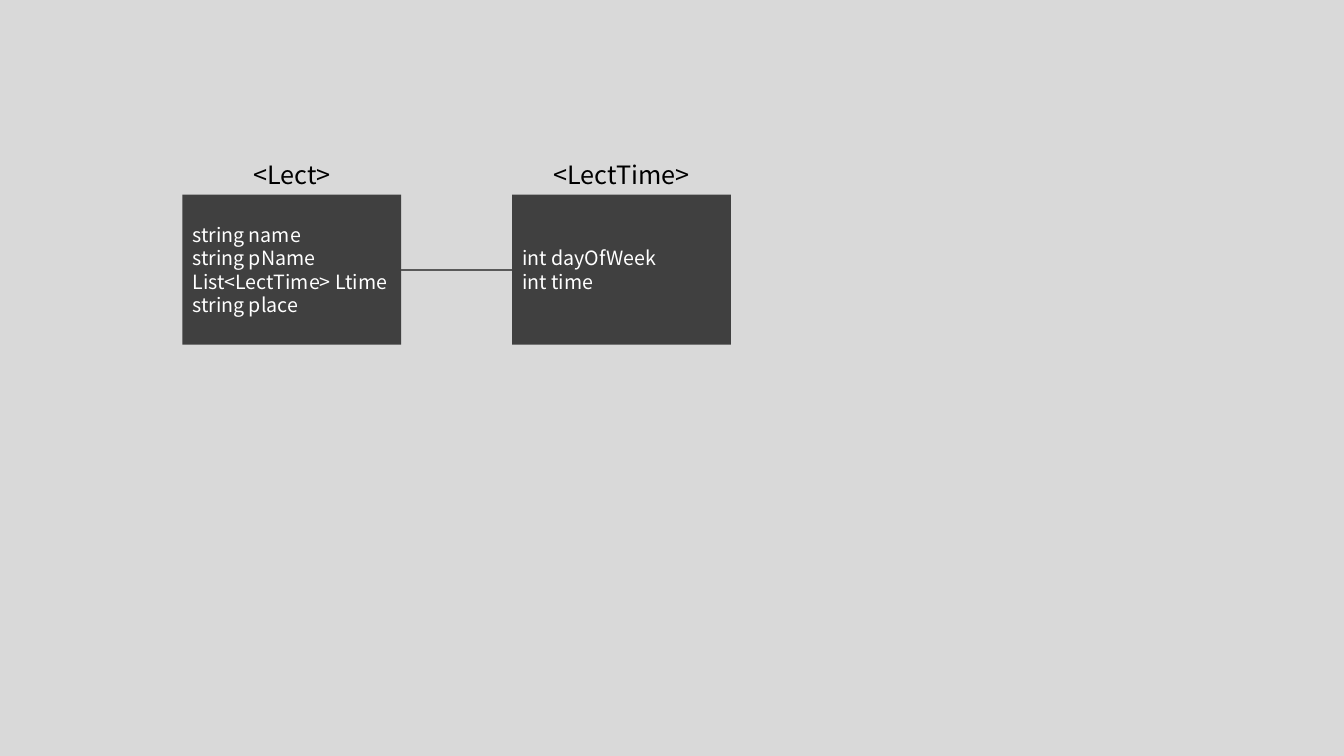
from pptx import Presentation, util as u
from pptx.dml.color import RGBColor
from pptx.enum import shapes, text
from pptx.oxml.ns import qn
from lxml import etree

CLASSES = [
    ("<Lect>", ["string name", "string pName", "List<LectTime> Ltime", "string place"]),
    ("<LectTime>", ["int dayOfWeek", "int time"]),
]

FONT = "Noto Sans CJK KR"
BACKGROUND = RGBColor(0xD9, 0xD9, 0xD9)
BOX_FILL = RGBColor(0x40, 0x40, 0x40)
LINE_COLOR = RGBColor(0x59, 0x59, 0x59)
BLACK = RGBColor(0, 0, 0)
WHITE = RGBColor(0xFF, 0xFF, 0xFF)

LEFT, TOP = u.Inches(1.81), u.Inches(1.53)
BOX_WIDTH, BOX_HEIGHT = u.Inches(2.17), u.Inches(1.49)
LABEL_HEIGHT, GAP = u.Inches(0.4), u.Inches(1.1)
BOX_TOP = TOP + LABEL_HEIGHT


def write_text(shape, lines, size, color, alignment):
    """Fill a shape with one paragraph per line and format its runs."""
    frame = shape.text_frame
    frame.word_wrap = True
    frame.text = "\n".join(lines)
    for paragraph in frame.paragraphs:
        paragraph.alignment = alignment
        for run in paragraph.runs:
            run.font.name = FONT
            run.font.size = u.Pt(size)
            run.font.color.rgb = color


def add_class(slide, left, name, fields):
    """Add a group with a class name above its box of fields; return the box."""
    group = slide.shapes.add_group_shape()
    label = group.shapes.add_textbox(left, TOP, BOX_WIDTH, LABEL_HEIGHT)
    write_text(label, [name], 18, BLACK, text.PP_ALIGN.CENTER)
    label.text_frame.auto_size = text.MSO_AUTO_SIZE.SHAPE_TO_FIT_TEXT

    box = group.shapes.add_shape(
        shapes.MSO_SHAPE.RECTANGLE, left, BOX_TOP, BOX_WIDTH, BOX_HEIGHT)
    box.shadow.inherit = False
    box.fill.solid()
    box.fill.fore_color.rgb = BOX_FILL
    box.line.fill.background()
    write_text(box, fields, 14, WHITE, text.PP_ALIGN.LEFT)
    box.text_frame.vertical_anchor = text.MSO_ANCHOR.MIDDLE
    return box


def connect(slide, first, second):
    """Join the right side of one box to the left side of the next."""
    middle = BOX_TOP + BOX_HEIGHT // 2
    line = slide.shapes.add_connector(
        shapes.MSO_CONNECTOR.STRAIGHT,
        first.left + first.width, middle, second.left, middle)
    line.line.color.rgb = LINE_COLOR
    line.line.width = u.Pt(1.5)
    properties = line._element.find(qn("p:spPr"))
    etree.SubElement(properties, qn("a:effectLst"))


presentation = Presentation()
presentation.slide_width = u.Inches(13.33)
presentation.slide_height = u.Inches(7.5)
slide = presentation.slides.add_slide(presentation.slide_layouts[6])
slide.background.fill.solid()
slide.background.fill.fore_color.rgb = BACKGROUND

boxes = [add_class(slide, LEFT + column * (BOX_WIDTH + GAP), name, fields)
         for column, (name, fields) in enumerate(CLASSES)]
for first, second in zip(boxes, boxes[1:]):
    connect(slide, first, second)

presentation.save("out.pptx")
